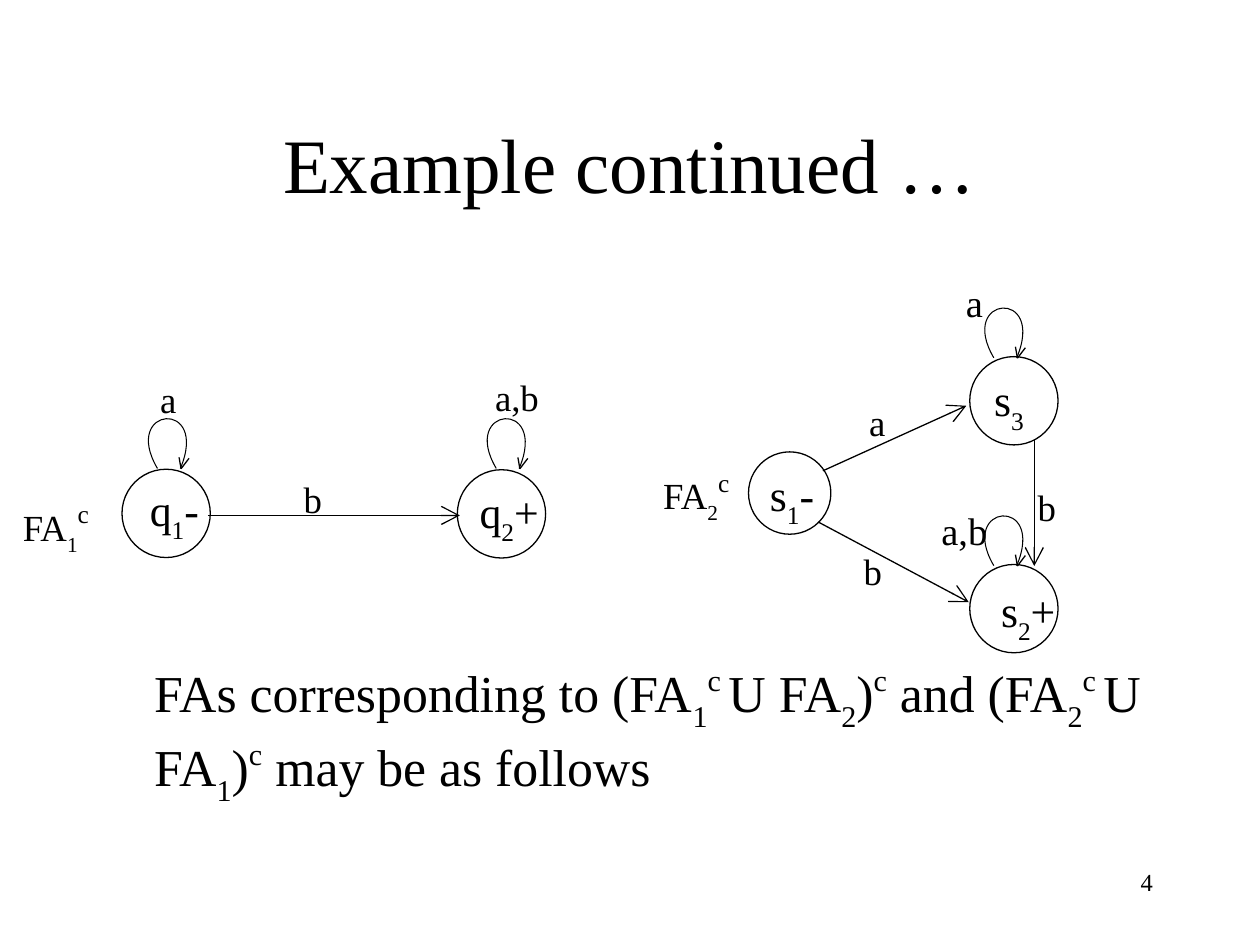
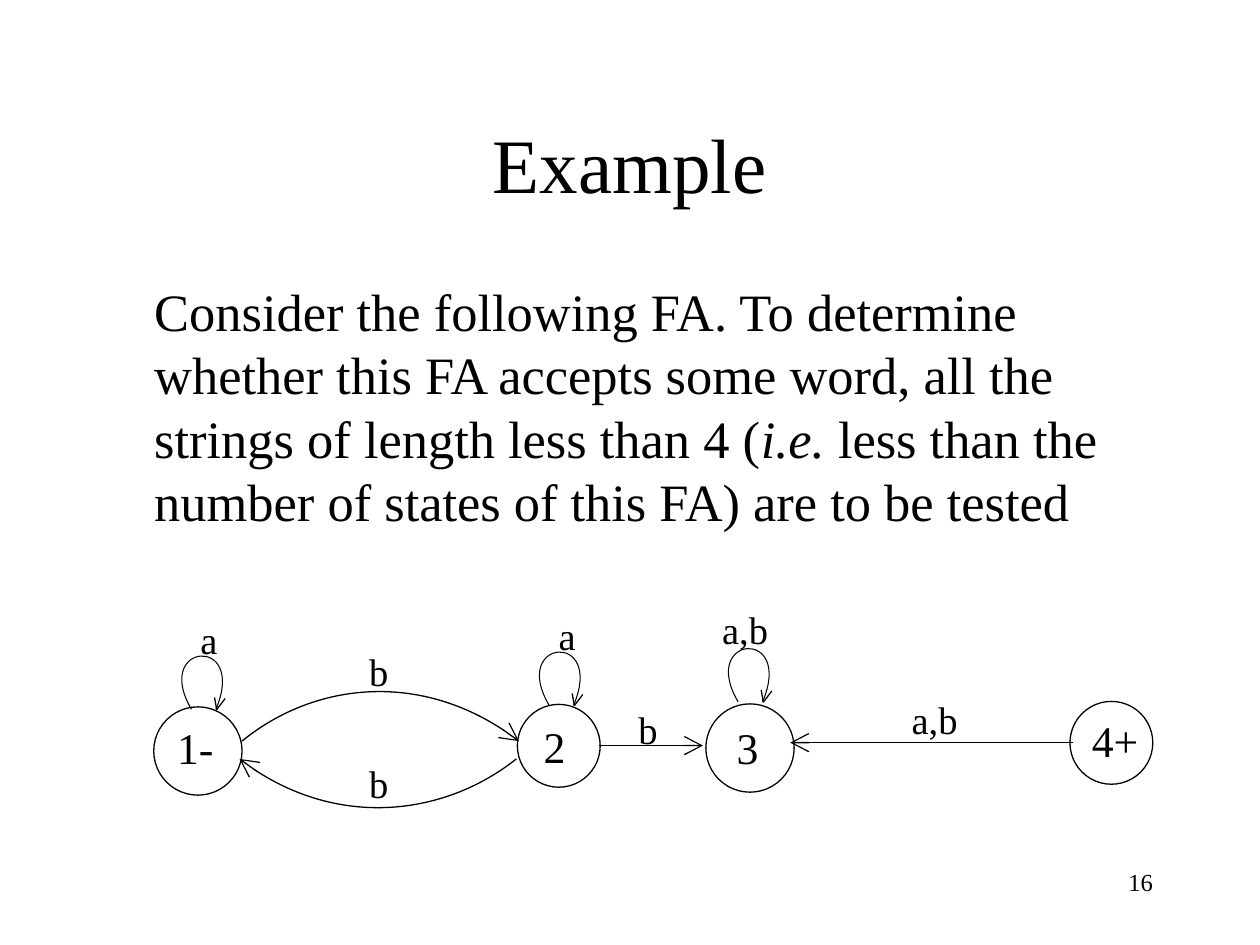
from lxml import etree
from pptx import Presentation
from pptx.dml.color import RGBColor
from pptx.enum.shapes import MSO_CONNECTOR, MSO_SHAPE
from pptx.enum.text import MSO_ANCHOR, PP_ALIGN
from pptx.oxml.ns import qn
from pptx.util import Cm, Pt

STRAIGHT = MSO_CONNECTOR.STRAIGHT
OVAL = MSO_SHAPE.OVAL
MIDDLE, TOP = MSO_ANCHOR.MIDDLE, MSO_ANCHOR.TOP
LEFT, CENTER, RIGHT = PP_ALIGN.LEFT, PP_ALIGN.CENTER, PP_ALIGN.RIGHT

BLACK = RGBColor(0x00, 0x00, 0x00)
WHITE = RGBColor(0xFF, 0xFF, 0xFF)
FONT = "Times New Roman"
STATE_SIZE = 25
SUPERSCRIPT_SIZE = 25
LINE_WIDTH, LOOP_WIDTH = 0.75, 0.6

# Boxes are (left, top, width, height) in centimetres
TITLE_BOX = (1.9, 1.7, 21.59, 3.18)
BODY_BOX = (1.9, 5.51, 21.59, 11.43)
BODY_MARGIN_LEFT = 1.21
NUMBER_BOX = (18.21, 17.35, 5.28, 1.27)

# A self-loop and its arrowhead, relative to the top left of the loop's box
LOOP = [(0.85, 1.5), (0, 0.31), (1.78, 0), (1.31, 1.46)]
LOOP_ROTATION = 5
LOOP_TIP = (1.26, 1.5)
LOOP_BARBS = [(1.22, 1.27), (1.42, 1.29)]

# A run starting with _ is subscript, with ^ superscript, with / italic
BASELINES = {"_": "-30000", "^": "40000"}
MARKS = "_^/"

SMALL, TALL, WIDE = (1.78, 1.35), (1.78, 1.8), (2.49, 1.7)
NARROW, BROAD = (1.04, 1.02), (2.74, 1.9)

SLIDES = [
    {
        "title": "Example continued …",
        "number": "4",
        "body": {
            "margin_top": 7.79, "size": 29.6, "spacing": 42.3,
            "runs": ["FAs corresponding to (FA", "_1", "^c ", "U FA", "_2", ")", "^c",
                     " and (FA", "_2", "^c ", "U FA", "_1", ")", "^c",
                     " may be as follows"],
        },
        "state_label_box": SMALL,
        # left, top, diameter, label, label left, label top
        "states": [
            (2.46, 9.46, 1.78, ["q", "_1", "-"], 2.77, 9.61),
            (9.22, 9.47, 1.78, ["q", "_2", "+"], 9.42, 9.64),
            (15.09, 9.11, 1.66, ["s", "_1", "-"], 15.27, 9.3),
            (19.55, 11.38, 1.78, ["s", "_2", "+"], 19.93, 11.65),
            (19.55, 7.19, 1.78, ["s", "_3"], 19.79, 7.4),
        ],
        "straight_edges": [
            ((4.19, 10.39), (9.27, 10.39)),
            ((16.59, 9.49), (19.48, 8.18)),
            ((16.49, 10.52), (19.53, 12.14)),
            ((20.85, 8.86), (20.85, 11.41)),
        ],
        "curved_edges": [],
        "loop_scale": 1,
        "loops": [(2.39, 7.95), (9.22, 7.95), (19.25, 5.72), (19.25, 9.91)],
        # runs, left, top, box size, font size
        "labels": [
            (["b"], 5.87, 9.49, SMALL, 21),
            (["a"], 2.98, 7.48, SMALL, 21),
            (["a,b"], 9.73, 7.43, SMALL, 21),
            (["b"], 17.16, 10.94, SMALL, 21),
            (["a"], 17.27, 7.94, TALL, 21),
            (["b"], 20.67, 9.64, SMALL, 21),
            (["a"], 19.22, 5.51, WIDE, 22),
            (["a,b"], 18.73, 10.09, WIDE, 22),
            (["FA", "_1", "^c"], 0.21, 9.91, (2.97, 1.73), 21),
            (["FA", "_2", "^c"], 13.12, 9.27, (3.02, 1.4), 21),
        ],
    },
    {
        "title": "Example",
        "number": "16",
        "body": {
            "margin_top": 0.11, "size": 30, "spacing": 36.2,
            "runs": ["Consider the following FA. To determine whether this FA accepts "
                     "some word, all the strings of length less than 4 (", "/i.e.",
                     " less than the number of states of this FA) are to be tested"],
        },
        "state_label_box": (2.59, 1.07),
        "states": [
            (3.1, 14.25, 1.78, ["1-"], 3.32, 14.4),
            (10.43, 14.2, 1.67, ["2"], 10.71, 14.38),
            (14.23, 14.19, 1.78, ["3"], 14.6, 14.4),
            (21.57, 14.14, 1.67, ["4+"], 21.76, 14.26),
        ],
        "straight_edges": [
            ((12.07, 15.03), (14.17, 15.03)),
            ((21.64, 14.97), (15.93, 14.97)),
        ],
        "curved_edges": [
            [(4.88, 14.94), (6.3, 13.78), (8.61, 13.5), (10.46, 14.94)],
            [(10.41, 15.3), (8.97, 16.44), (6.65, 16.72), (4.83, 15.3)],
        ],
        "loop_scale": 1.07,
        "loops": [(14.04, 12.55), (10.23, 12.62), (3.02, 12.7)],
        "labels": [
            (["a,b"], 14.31, 12.09, BROAD, 22),
            (["b"], 7.19, 15.19, (1.24, 1.27), 22),
            (["b"], 7.19, 12.93, NARROW, 22),
            (["a"], 11.01, 12.22, NARROW, 22),
            (["a"], 3.79, 12.29, NARROW, 22),
            (["a,b"], 18.13, 13.9, BROAD, 22),
            (["b"], 12.62, 14.1, NARROW, 22),
        ],
    },
]


def add_run(paragraph, marked, size, superscript_size):
    mark = marked[0] if marked[0] in MARKS else ""
    run = paragraph.add_run()
    run.text = marked[len(mark):]
    font = run.font
    font.name = FONT
    font.size = Pt(superscript_size if mark == "^" else size)
    font.color.rgb = BLACK
    if mark == "/":
        font.italic = True
    return BASELINES.get(mark, "0")


def add_text(slide, runs, box, size, alignment=LEFT, anchor=TOP, superscript_size=None):
    """Add a text box of one paragraph and return its text frame."""
    shape = slide.shapes.add_textbox(*map(Cm, box))
    text_frame = shape.text_frame
    text_frame.word_wrap = True
    text_frame.vertical_anchor = anchor
    paragraph = text_frame.paragraphs[0]
    paragraph.alignment = alignment
    baselines = [add_run(paragraph, run, size, superscript_size or size) for run in runs]
    for properties, baseline in zip(shape.element.iter(qn("a:rPr")), baselines):
        properties.set("baseline", baseline)
    return text_frame


def add_body(slide, runs, margin_top, size, spacing):
    text_frame = add_text(slide, runs, BODY_BOX, size)
    text_frame.margin_left = Cm(BODY_MARGIN_LEFT)
    text_frame.margin_top = Cm(margin_top)
    text_frame.paragraphs[0].line_spacing = Pt(spacing)


def draw_line(shape, width=LINE_WIDTH, arrow=False):
    """Give a shape or connector a black outline, no shadow and, if asked, an arrowhead."""
    shape.line.color.rgb = BLACK
    shape.line.width = Pt(width)
    properties = shape.element.spPr
    if arrow:
        etree.SubElement(properties.find(qn("a:ln")), qn("a:tailEnd"),
                         type="arrow", w="lg", len="lg")
    etree.SubElement(properties, qn("a:effectLst"))


def add_curve(slide, points, width=LINE_WIDTH, arrow=False):
    """Draw a cubic curve through a start, two control points and an end."""
    points = [(Cm(x), Cm(y)) for x, y in points]
    builder = slide.shapes.build_freeform(*points[0])
    builder.add_line_segments(points[1:], close=False)
    shape = builder.convert_to_shape()
    outline = next(shape.element.iter(qn("a:path")))
    segments = outline.findall(qn("a:lnTo"))
    cubic = etree.SubElement(outline, qn("a:cubicBezTo"))
    for segment in segments:
        cubic.append(segment[0])
        outline.remove(segment)
    shape.fill.background()
    draw_line(shape, width, arrow)
    return shape


def add_straight_edge(slide, start, end, arrow=True):
    connector = slide.shapes.add_connector(STRAIGHT, *map(Cm, start + end))
    draw_line(connector, arrow=arrow)


def add_loop(slide, corner, scale):
    def place(point):
        return tuple(origin + scale * offset for origin, offset in zip(corner, point))

    loop = add_curve(slide, [place(point) for point in LOOP], LOOP_WIDTH)
    loop.rotation = LOOP_ROTATION
    for barb in LOOP_BARBS:
        add_straight_edge(slide, place(barb), place(LOOP_TIP), arrow=False)


def add_circle(slide, left, top, diameter):
    circle = slide.shapes.add_shape(OVAL, *map(Cm, (left, top, diameter, diameter)))
    circle.fill.solid()
    circle.fill.fore_color.rgb = WHITE
    draw_line(circle)


def add_automaton(slide, content):
    for left, top, diameter, *_ in content["states"]:
        add_circle(slide, left, top, diameter)
    for start, end in content["straight_edges"]:
        add_straight_edge(slide, start, end)
    for curve in content["curved_edges"]:
        add_curve(slide, curve, arrow=True)
    for corner in content["loops"]:
        add_loop(slide, corner, content["loop_scale"])
    for *_, runs, left, top in content["states"]:
        add_text(slide, runs, (left, top, *content["state_label_box"]), STATE_SIZE)
    for runs, left, top, box_size, size in content["labels"]:
        add_text(slide, runs, (left, top, *box_size), size,
                 superscript_size=SUPERSCRIPT_SIZE)


def add_slide(presentation, content):
    slide = presentation.slides.add_slide(presentation.slide_layouts[6])
    add_text(slide, [content["title"]], TITLE_BOX, 44, CENTER, MIDDLE)
    add_body(slide, **content["body"])
    add_automaton(slide, content)
    add_text(slide, [content["number"]], NUMBER_BOX, 14, RIGHT)


def main():
    presentation = Presentation()
    presentation.slide_width = Cm(25.4)
    presentation.slide_height = Cm(19.05)
    for content in SLIDES:
        add_slide(presentation, content)
    presentation.save("out.pptx")


if __name__ == "__main__":
    main()
